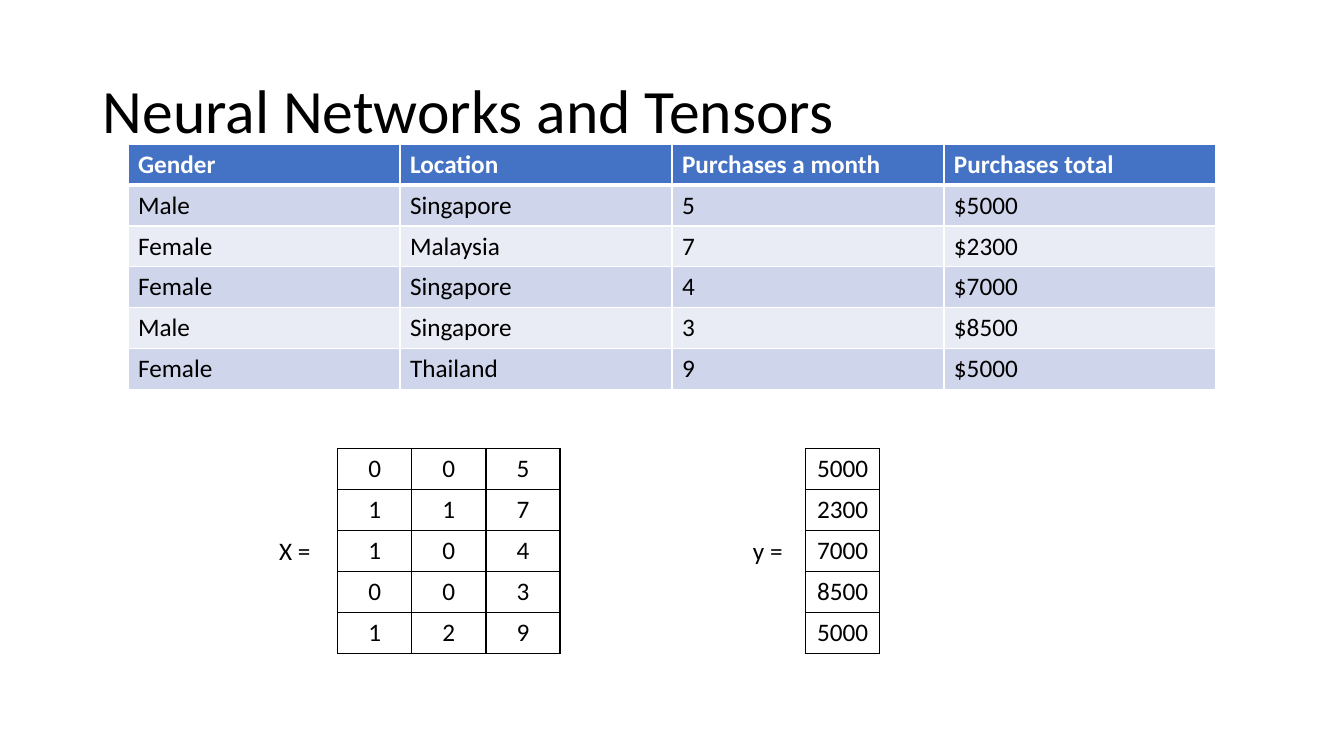
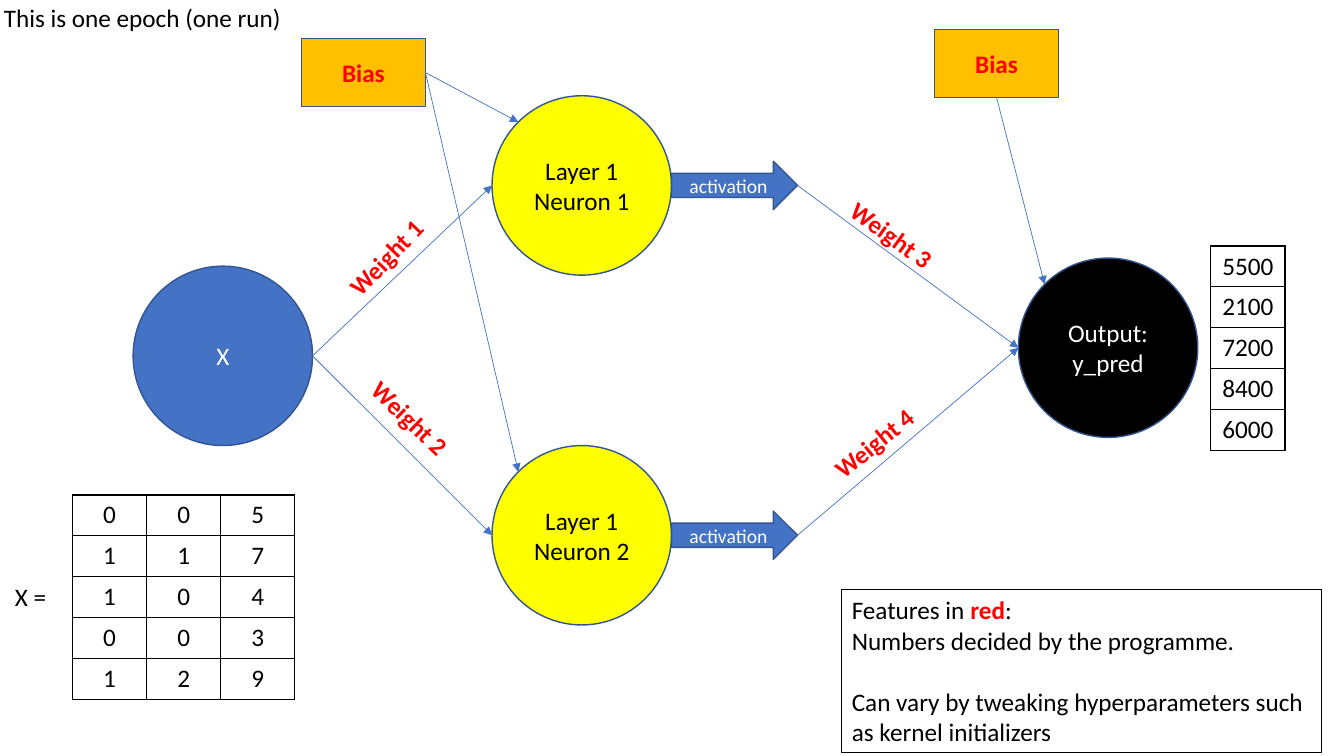
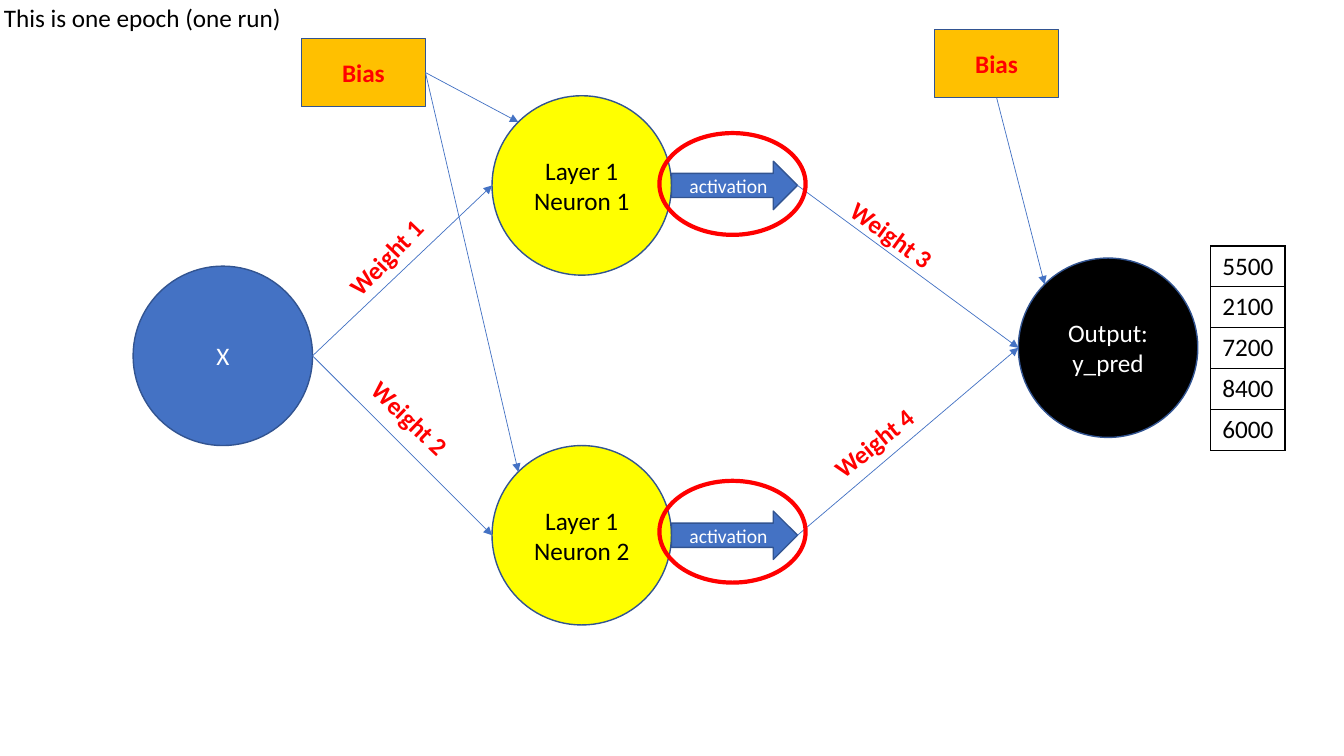
"""Builds three slides that explain neural networks and tensors."""
from math import sqrt

from lxml.etree import SubElement
from pptx import Presentation
from pptx.dml.color import RGBColor
from pptx.enum.shapes import MSO_CONNECTOR as Connector, MSO_SHAPE as Shape
from pptx.enum.text import MSO_ANCHOR as Anchor, PP_ALIGN as Align
from pptx.oxml.ns import qn
from pptx.util import Inches, Pt

BLACK = RGBColor(0x00, 0x00, 0x00)
WHITE = RGBColor(0xFF, 0xFF, 0xFF)
RED = RGBColor(0xFF, 0x00, 0x00)
BLUE = RGBColor(0x44, 0x72, 0xC4)
DARK_BLUE = RGBColor(0x32, 0x54, 0x91)
YELLOW = RGBColor(0xFF, 0xFF, 0x00)
ORANGE = RGBColor(0xFF, 0xC0, 0x00)
BAND_DARK = RGBColor(0xCF, 0xD5, 0xEA)
BAND_LIGHT = RGBColor(0xE9, 0xEB, 0xF5)

NEURON_SIZE = 1.78
ROW_HEIGHT = 0.406
COLUMN_WIDTH = 0.735

PURCHASES = [
    ["Gender", "Location", "Purchases a month", "Purchases total"],
    ["Male", "Singapore", "5", "$5000"],
    ["Female", "Malaysia", "7", "$2300"],
    ["Female", "Singapore", "4", "$7000"],
    ["Male", "Singapore", "3", "$8500"],
    ["Female", "Thailand", "9", "$5000"],
]
INPUTS = [[0, 0, 5], [1, 1, 7], [1, 0, 4], [0, 0, 3], [1, 2, 9]]
TARGETS = [[5000], [2300], [7000], [8500], [5000]]
PREDICTIONS = [[5500], [2100], [7200], [8400], [6000]]
WEIGHTS = [
    ("Weight 1", 3.26, 2.34, 313.8),
    ("Weight 2", 3.5, 3.96, 43.7),
    ("Weight 3", 8.28, 2.14, 35.8),
    ("Weight 4", 8.1, 4.18, 320.8),
]


class Deck:
    """Holds the shared style and the current slide."""

    font = "Calibri"
    size = 18

    def __init__(self):
        self.presentation = Presentation()
        self.presentation.slide_width = Inches(13.33)
        self.presentation.slide_height = Inches(7.5)
        self.slide = None

    def new_slide(self):
        self.slide = self.presentation.slides.add_slide(self.presentation.slide_layouts[6])

    def style(self, paragraph, color=BLACK, size=None, bold=False):
        for run in paragraph.runs:
            run.font.name = self.font
            run.font.size = Pt(size or self.size)
            run.font.bold = bold
            run.font.color.rgb = color

    def text(self, text, left, top, width, height=0.4, rotation=0, **style):
        box = self.slide.shapes.add_textbox(
            Inches(left), Inches(top), Inches(width), Inches(height))
        box.rotation = rotation
        box.text_frame.word_wrap = True
        box.text_frame.text = text
        for paragraph in box.text_frame.paragraphs:
            self.style(paragraph, **style)
        return box

    def title(self, text):
        frame = self.text(text, 0.92, 0.4, 11.5, 1.45, size=44).text_frame
        frame.vertical_anchor = Anchor.MIDDLE
        frame.paragraphs[0].line_spacing = 0.9

    def shape(self, kind, left, top, width, height, text="", fill=None,
              line=DARK_BLUE, line_width=1, **style):
        shape = self.slide.shapes.add_shape(
            kind, Inches(left), Inches(top), Inches(width), Inches(height))
        shape.shadow.inherit = False
        if fill is None:
            shape.fill.background()
        else:
            shape.fill.solid()
            shape.fill.fore_color.rgb = fill
        shape.line.color.rgb = line
        shape.line.width = Pt(line_width)
        if text:
            frame = shape.text_frame
            frame.word_wrap = True
            frame.vertical_anchor = Anchor.MIDDLE
            frame.text = text
            frame.paragraphs[0].alignment = Align.CENTER
            self.style(frame.paragraphs[0], **style)
        return shape

    def neuron(self, text, left, top, fill, color):
        return self.shape(Shape.OVAL, left, top, NEURON_SIZE, NEURON_SIZE, text, fill, color=color)

    def arrow(self, start, end, source=None, site=3):
        connector = self.slide.shapes.add_connector(Connector.STRAIGHT, *start, *end)
        if source is not None:
            connector.begin_connect(source, site)
        connector.line.color.rgb = BLUE
        connector.line.width = Pt(0.5)
        SubElement(connector.line._get_or_add_ln(), qn("a:tailEnd"), type="triangle")
        SubElement(connector._element.spPr, qn("a:effectLst"))

    def border(self, cell, side, color, width):
        properties = cell._tc.get_or_add_tcPr()
        line = SubElement(properties, qn(f"a:ln{side}"), w=str(Pt(width)))
        fill = SubElement(line, qn("a:solidFill"))
        SubElement(fill, qn("a:srgbClr"), val=str(color))

    def table(self, rows, left, top, width, header=False):
        table = self.slide.shapes.add_table(
            len(rows), len(rows[0]), Inches(left), Inches(top),
            Inches(width), Inches(ROW_HEIGHT * len(rows))).table
        table.first_row = header
        table.horz_banding = header
        for row, values in enumerate(rows):
            is_head = header and row == 0
            fill = WHITE
            if header:
                fill = BLUE if is_head else (BAND_LIGHT, BAND_DARK)[row % 2]
            for column, value in enumerate(values):
                cell = table.cell(row, column)
                for side in "LRTB":
                    thick = header and (row, side) in ((0, "B"), (1, "T"))
                    self.border(cell, side, WHITE if header else BLACK, 3 if thick else 1)
                cell.fill.solid()
                cell.fill.fore_color.rgb = fill
                cell.text_frame.text = str(value)
                paragraph = cell.text_frame.paragraphs[0]
                paragraph.alignment = Align.LEFT if header else Align.CENTER
                self.style(paragraph, WHITE if is_head else BLACK, bold=is_head)

    def matrix(self, rows, left, top):
        self.table(rows, left, top, COLUMN_WIDTH * len(rows[0]))

    def network(self):
        input_neuron = self.neuron("X", 1.32, 2.64, BLUE, WHITE)
        hidden = [self.neuron(f"Layer 1 Neuron {number}", 4.88, top, YELLOW, BLACK)
                  for number, top in ((1, 0.95), (2, 4.42))]
        output = self.neuron("Output: y_pred", 10.1, 2.56, BLACK, WHITE)
        biases = [self.shape(Shape.RECTANGLE, left, top, 1.23, 0.68, "Bias", ORANGE,
                             color=RED, bold=True)
                  for left, top in ((2.99, 0.38), (9.27, 0.29))]
        for neuron in hidden:
            activation = self.shape(
                Shape.RIGHT_ARROW, 6.66, middle(neuron) / Inches(1) - 0.24, 1.25, 0.48,
                "activation", BLUE, color=WHITE, size=14)
            self.arrow(right_side(input_neuron), left_side(neuron))
            self.arrow(right_side(activation), left_side(output), activation)
            self.arrow(right_side(biases[0]), upper_left(neuron), biases[0])
        self.arrow(bottom_side(biases[1]), upper_left(output), biases[1], 2)
        for label, left, top, rotation in WEIGHTS:
            self.text(label, left, top, 1.16, rotation=rotation, color=RED, bold=True)
        self.matrix(PREDICTIONS, 12.01, 2.44)
        self.text("This is one epoch (one run)", -0.06, -0.03, 3.4)

    def red_note(self):
        note = self.text(
            "Features in \nNumbers decided by the programme.\n"
            "Can vary by tweaking hyperparameters such as kernel initializers",
            8.35, 5.85, 4.76, 1.62)
        note.line.color.rgb = BLACK
        note.line.width = Pt(0.75)
        heading, _, advice = note.text_frame.paragraphs
        advice.space_before = Pt(22)
        for word in ("red", ":"):
            heading.add_run().text = word
        self.style(heading)
        heading.runs[1].font.color.rgb = RED
        heading.runs[1].font.bold = True


def middle(shape):
    return shape.top + shape.height // 2


def left_side(shape):
    return shape.left, middle(shape)


def right_side(shape):
    return shape.left + shape.width, middle(shape)


def bottom_side(shape):
    return shape.left + shape.width // 2, shape.top + shape.height


def upper_left(circle):
    inset = int(circle.width * (1 - sqrt(0.5)) / 2)
    return circle.left + inset, circle.top + inset


def main():
    deck = Deck()

    deck.new_slide()
    deck.title("Neural Networks and Tensors")
    deck.table(PURCHASES, 1.27, 1.43, 10.79, header=True)
    deck.matrix(INPUTS, 3.35, 4.45)
    deck.matrix(TARGETS, 7.99, 4.45)
    deck.text("X =", 2.67, 5.26, 1.77)
    deck.text("y =", 7.37, 5.26, 1.77)

    deck.new_slide()
    deck.network()
    deck.matrix(INPUTS, 0.72, 4.91)
    deck.text("X =", 0.05, 5.72, 1.77)
    deck.red_note()

    deck.new_slide()
    deck.network()
    for top in (1.32, 4.77):
        deck.shape(Shape.OVAL, 6.54, top, 1.45, 1.01, line=RED, line_width=3)

    deck.presentation.save("out.pptx")


if __name__ == "__main__":
    main()
